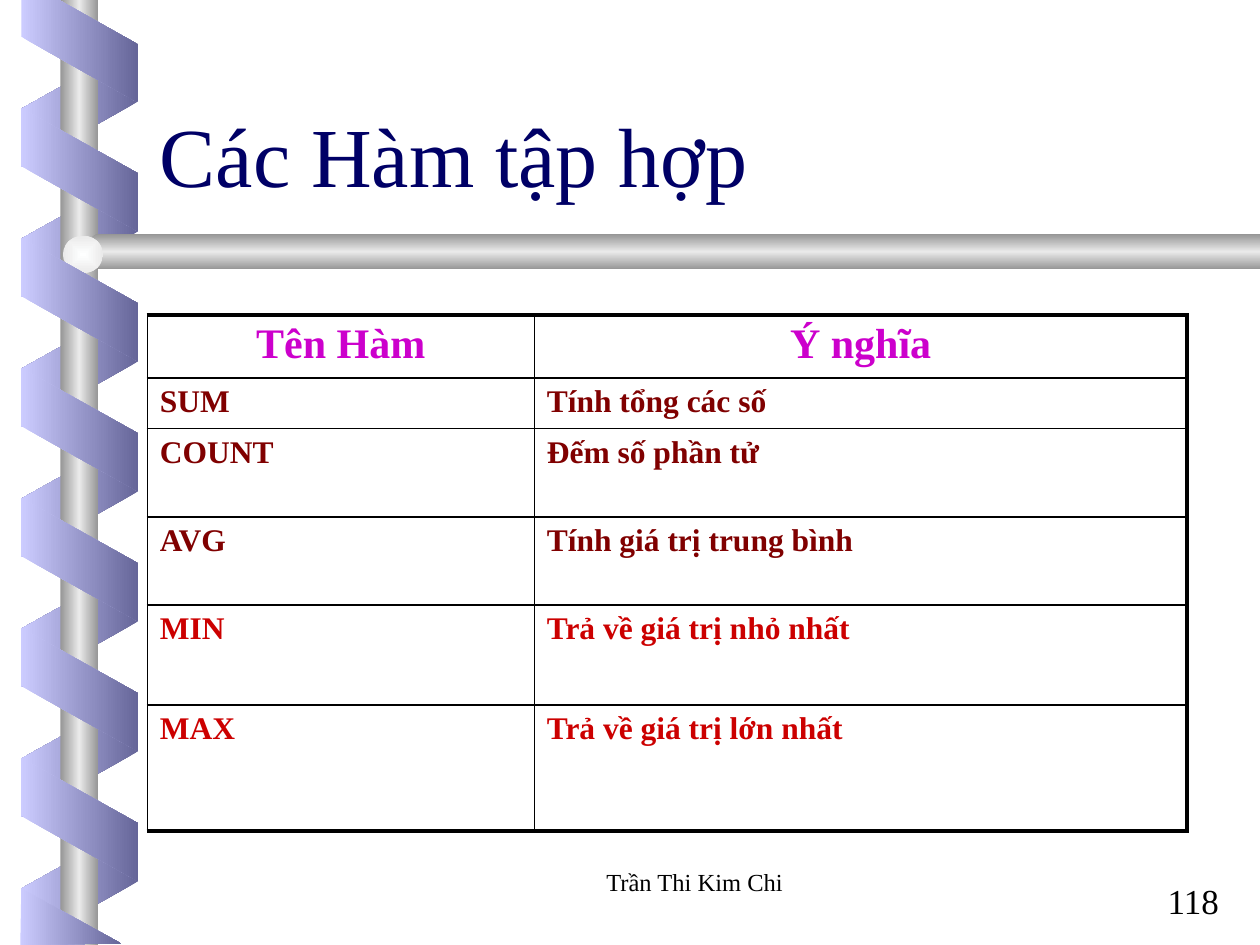
"""Build a slide with a table of aggregate functions beside a spiral binding."""
from dataclasses import dataclass

import pptx
import pptx.dml.color
import pptx.enum.shapes
import pptx.enum.text
import pptx.oxml
import pptx.oxml.ns
import pptx.util

Cm = pptx.util.Cm
SHAPE = pptx.enum.shapes.MSO_SHAPE
ALIGN = pptx.enum.text.PP_ALIGN
ANCHOR = pptx.enum.text.MSO_ANCHOR


@dataclass(frozen=True)
class Theme:
    font: str = "Times New Roman"
    title: str = "000066"
    header: str = "CC00CC"
    basic: str = "800000"
    extreme: str = "CC0000"
    ink: str = "000000"
    front: tuple = ("CCCCFF", "666699")
    back: tuple = ("666699", "CCCCFF")
    metal: tuple = ("969696", "EAEAEA", "969696")
    knob: tuple = ("FEFFFF", "EAEAEA")
    title_size: int = 48
    header_size: int = 24
    body_size: int = 18
    footer_size: int = 14
    number_size: int = 20
    thin: float = 1
    thick: float = 2.25


@dataclass(frozen=True)
class Box:
    left: float
    top: float
    width: float
    height: float

    def emu(self) -> tuple:
        """Return the box as lengths."""
        return Cm(self.left), Cm(self.top), Cm(self.width), Cm(self.height)


@dataclass(frozen=True)
class Row:
    name: str
    meaning: str
    height: float
    color: str


@dataclass(frozen=True)
class Coil:
    top: float
    count: int
    rotation: int
    flip: bool
    colors: tuple


T = Theme()
PITCH = 2.62
BACK = Coil(0.94, 7, 90, True, T.back)
FRONT = Coil(2.24, 6, 270, False, T.front)
COLUMNS = (7.8, 13.16)
ROWS = (
    Row("Tên Hàm", "Ý nghĩa", 1.27, T.header),
    Row("SUM", "Tính tổng các số", 1.02, T.basic),
    Row("COUNT", "Đếm số phần tử", 1.78, T.basic),
    Row("AVG", "Tính giá trị trung bình", 1.78, T.basic),
    Row("MIN", "Trả về giá trị nhỏ nhất", 2.01, T.extreme),
    Row("MAX", "Trả về giá trị lớn nhất", 2.54, T.extreme),
)
TOP_COIL = ((0.43, 0), (0.43, 0.74), (2.77, 2.06), (2.77, 0.89), (1.19, 0))
BOTTOM_COIL = ((2.44, 19.02), (0.43, 17.91), (0.41, 19.05))


def write(tf, text: str, *, size: float, color: str = T.ink, bold: bool = False,
          align=ALIGN.LEFT, anchor=ANCHOR.TOP) -> None:
    """Put one formatted paragraph in a text frame."""
    tf.word_wrap = True
    tf.vertical_anchor = anchor
    p = tf.paragraphs[0]
    p.alignment = align
    r = p.add_run()
    r.text = text
    r.font.name = T.font
    r.font.size = pptx.util.Pt(size)
    r.font.bold = bold
    r.font.color.rgb = pptx.dml.color.RGBColor.from_string(color)


def paint(s, colors: tuple, angle: int = 0, radial: bool = False) -> None:
    """Give a shape an evenly stepped gradient and no line or shadow."""
    s.shadow.inherit = False
    s.line.fill.background()
    s.fill.gradient()
    step = 100000 // (len(colors) - 1)
    stops = "".join(f'<a:gs pos="{i * step}"><a:srgbClr val="{c}"/></a:gs>'
                    for i, c in enumerate(colors))
    course = ('<a:path path="shape"><a:fillToRect l="50000" t="50000" r="50000" '
              'b="50000"/></a:path>' if radial
              else f'<a:lin ang="{angle * 60000}" scaled="1"/>')
    grad = pptx.oxml.parse_xml(
        f'<a:gradFill {pptx.oxml.ns.nsdecls("a")} rotWithShape="0">'
        f'<a:gsLst>{stops}</a:gsLst>{course}</a:gradFill>')
    spPr = s._element.spPr
    spPr.replace(spPr.find(pptx.oxml.ns.qn("a:gradFill")), grad)


def add_preset(sp, kind, box: Box, colors: tuple, *, angle: int = 0,
               radial: bool = False, rotation: int = 0, flip: bool = False,
               adjust: float | None = None) -> None:
    """Draw a gradient preset shape."""
    s = sp.add_shape(kind, *box.emu())
    s.rotation = rotation
    if flip:
        s._element.spPr.xfrm.set("flipH", "1")
    if adjust is not None:
        s.adjustments[0] = adjust
    paint(s, colors, angle, radial)


def add_coil(sp, coil: Coil) -> None:
    """Draw one side of the spiral at an equal pitch."""
    for i in range(coil.count):
        add_preset(sp, SHAPE.PARALLELOGRAM, Box(0.36, coil.top + i * PITCH, 2.49, 2.36),
                   coil.colors, rotation=coil.rotation, flip=coil.flip, adjust=0.56)


def add_outline(sp, points: tuple) -> None:
    """Draw a cut end of the spiral."""
    (x, y), *rest = [(Cm(x), Cm(y)) for x, y in points]
    fb = sp.build_freeform(x, y)
    fb.add_line_segments(rest, close=True)
    paint(fb.convert_to_shape(), T.front)


def add_text(sp, box: Box, text: str, **fmt) -> None:
    """Add a formatted text box."""
    write(sp.add_textbox(*box.emu()).text_frame, text, **fmt)


def set_borders(cell, widths: dict[str, float]) -> None:
    """Set solid cell borders by side."""
    tcPr = cell._tc.get_or_add_tcPr()
    for i, (side, width) in enumerate(widths.items()):
        tcPr.insert(i, pptx.oxml.parse_xml(
            f'<a:ln{side} {pptx.oxml.ns.nsdecls("a")} w="{pptx.util.Pt(width)}">'
            f'<a:solidFill><a:srgbClr val="{T.ink}"/></a:solidFill></a:ln{side}>'))


def add_functions(sp) -> None:
    """Draw the table of functions."""
    box = Box(2.97, 6.35, sum(COLUMNS), sum(row.height for row in ROWS))
    table = sp.add_table(len(ROWS), len(COLUMNS), *box.emu()).table
    table.first_row = table.horz_banding = False
    for column, width in zip(table.columns, COLUMNS):
        column.width = Cm(width)
    for i, row in enumerate(ROWS):
        table.rows[i].height = Cm(row.height)
        for j, text in enumerate((row.name, row.meaning)):
            cell = table.cell(i, j)
            cell.fill.background()
            write(cell.text_frame, text, color=row.color, bold=True,
                  size=T.body_size if i else T.header_size,
                  align=ALIGN.LEFT if i else ALIGN.CENTER)
            set_borders(cell, {
                "L": T.thin,
                "R": T.thick if j == len(COLUMNS) - 1 else T.thin,
                "T": T.thin if i else T.thick,
                "B": T.thick if i == len(ROWS) - 1 else T.thin})


def main() -> None:
    """Build and save the slide."""
    prs = pptx.Presentation()
    prs.slide_width, prs.slide_height = Cm(25.4), Cm(19.05)
    slide = prs.slides.add_slide(prs.slide_layouts[5])
    sp = slide.shapes
    add_coil(sp, BACK)
    add_preset(sp, SHAPE.RECTANGLE, Box(1.22, 0, 0.76, 19.05), T.metal)
    add_preset(sp, SHAPE.PENTAGON, Box(1.52, 4.72, 23.88, 0.71), T.metal,
               angle=90, flip=True, adjust=0.59)
    add_preset(sp, SHAPE.OVAL, Box(1.27, 4.75, 0.81, 0.76), T.knob, radial=True)
    add_coil(sp, FRONT)
    for points in (TOP_COIL, BOTTOM_COIL):
        add_outline(sp, points)
    title = sp.title
    title.left, title.top, title.width, title.height = Box(2.97, 1.96, 18.62, 2.29).emu()
    write(title.text_frame, "Các Hàm tập hợp", size=T.title_size, color=T.title,
          anchor=ANCHOR.MIDDLE)
    add_functions(sp)
    add_text(sp, Box(9.98, 17.35, 8.05, 1.27), "Trần Thi Kim Chi",
             size=T.footer_size, align=ALIGN.CENTER)
    add_text(sp, Box(23.29, 17.6, 2.11, 1.09), "118", size=T.number_size)
    prs.save("out.pptx")


if __name__ == "__main__":
    main()
